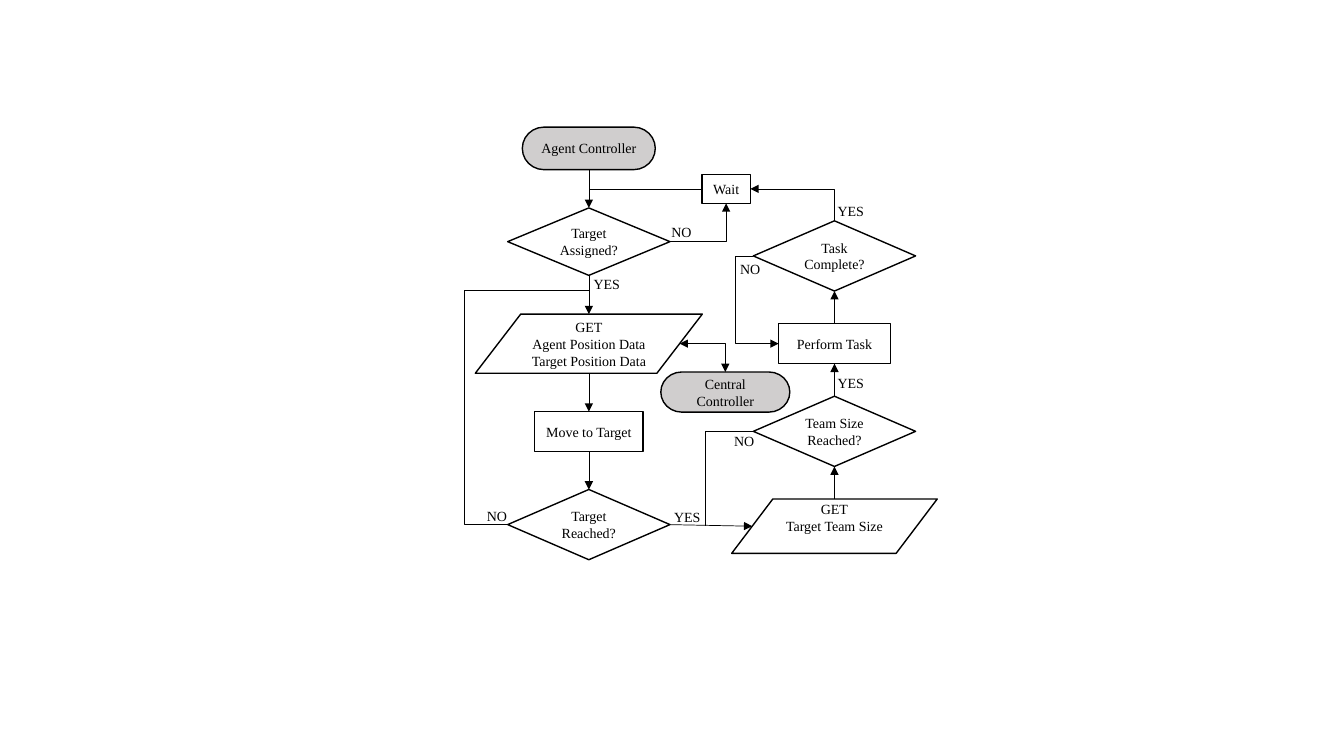
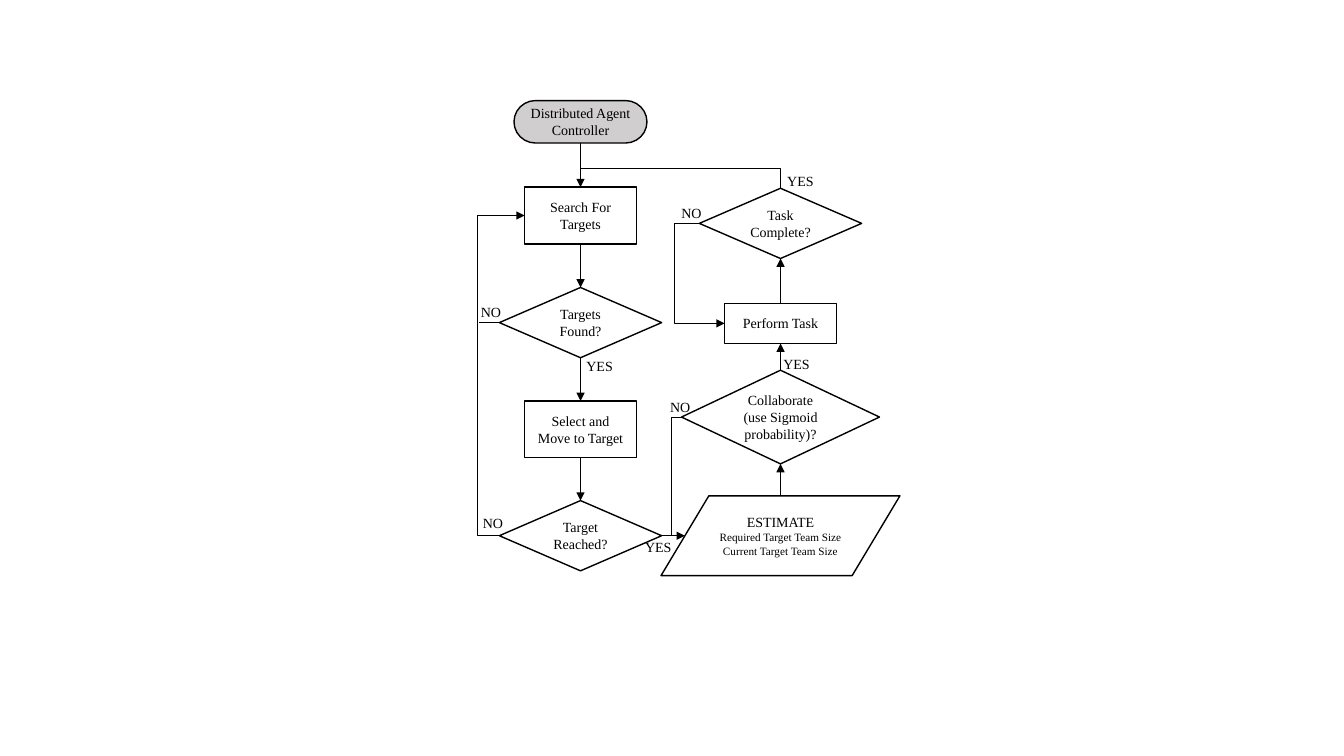
from dataclasses import dataclass
from itertools import pairwise

from lxml.etree import SubElement
from pptx import Presentation
from pptx.dml.color import RGBColor
from pptx.enum.shapes import MSO_CONNECTOR as Connector, MSO_SHAPE as Preset
from pptx.enum.text import MSO_ANCHOR as Anchor, MSO_AUTO_SIZE as AutoSize, PP_ALIGN as Align
from pptx.oxml.ns import qn
from pptx.util import Cm, Pt

COLORS = {"ink": "000000", "paper": "FFFFFF", "terminal": "D0CECE"}
FONT = "Times New Roman"
TEXT_SIZE, SMALL_SIZE = 10, 8
NODE_LINE, ROUTE_LINE = 1, 0.5
LABEL_WIDTHS = {"YES": 1.19, "NO": 1.04}
LABEL_HEIGHT = 0.69

# Usual node sizes in centimetres: width, height
DECISION_SIZE = (4.09, 1.77)
START_SIZE = (3.35, 1.07)
TASK_SIZE = (2.82, 1.01)
STEP_SIZE = (2.82, 1.43)


@dataclass
class Node:
    """Centre and size of a flowchart node, with its connection points."""
    x: float
    y: float
    width: float
    height: float
    slant: float = 0

    @property
    def top(self):
        return self.x, self.y - self.height / 2

    @property
    def bottom(self):
        return self.x, self.y + self.height / 2

    @property
    def left(self):
        return self.x - self.width / 2 + self.slant, self.y

    @property
    def right(self):
        return self.x + self.width / 2 - self.slant, self.y


def color(name):
    return RGBColor.from_string(COLORS[name])


def format_runs(paragraph, size=TEXT_SIZE):
    for run in paragraph.runs:
        run.font.name = FONT
        run.font.size = Pt(size)
        run.font.color.rgb = color("ink")


# Nodes
def add_node(slide, preset, text, x, y, size, fill="paper", small_from=None, lift=0):
    width, height = size
    shape = slide.shapes.add_shape(
        preset, Cm(x - width / 2), Cm(y - height / 2), Cm(width), Cm(height))
    shape.shadow.inherit = False
    shape.fill.solid()
    shape.fill.fore_color.rgb = color(fill)
    shape.line.color.rgb = color("ink")
    shape.line.width = Pt(NODE_LINE)
    text_frame = shape.text_frame
    text_frame.word_wrap = True
    text_frame.vertical_anchor = Anchor.MIDDLE
    if lift:
        text_frame.margin_top = 0
        text_frame.margin_bottom = Cm(lift)
    text_frame.text = text
    for index, paragraph in enumerate(text_frame.paragraphs):
        is_small = small_from is not None and index >= small_from
        paragraph.alignment = Align.CENTER
        format_runs(paragraph, SMALL_SIZE if is_small else TEXT_SIZE)
    slant = width / 10 if preset == Preset.FLOWCHART_DATA else 0
    return Node(x, y, width, height, slant)


def add_terminal(slide, text, x, y, size=START_SIZE):
    return add_node(slide, Preset.FLOWCHART_TERMINATOR, text, x, y, size, fill="terminal")


def add_decision(slide, text, x, y, size=DECISION_SIZE):
    return add_node(slide, Preset.FLOWCHART_DECISION, text, x, y, size)


def add_process(slide, text, x, y, size=TASK_SIZE):
    return add_node(slide, Preset.FLOWCHART_PROCESS, text, x, y, size)


def add_data(slide, text, x, y, size, **options):
    return add_node(slide, Preset.FLOWCHART_DATA, text, x, y, size, **options)


# Routes and their labels
def add_route(slide, start, end, kind=Connector.STRAIGHT, start_arrow=False, end_arrow=True):
    connector = slide.shapes.add_connector(kind, *(Cm(value) for value in (*start, *end)))
    connector.line.color.rgb = color("ink")
    connector.line.width = Pt(ROUTE_LINE)
    properties = connector._element.spPr
    line = properties.find(qn("a:ln"))
    if start_arrow:
        SubElement(line, qn("a:headEnd"), type="triangle")
    if end_arrow:
        SubElement(line, qn("a:tailEnd"), type="triangle")
    SubElement(properties, qn("a:effectLst"))
    return connector


def leave_leftward(connector):
    """Turn by 180 degrees and swap both flips: the same place, leaving to the left."""
    transform = connector._element.spPr.find(qn("a:xfrm"))
    transform.set("rot", str(180 * 60000))
    for flip in ("flipH", "flipV"):
        transform.set(flip, "0" if transform.get(flip) in ("1", "true") else "1")


def add_corner(slide, start, end, **arrows):
    """Run sideways from the start, then turn once to reach the end."""
    connector = add_route(slide, start, end, Connector.ELBOW, **arrows)
    connector._element.spPr.find(qn("a:prstGeom")).set("prst", "bentConnector2")
    if end[0] < start[0]:
        leave_leftward(connector)


def add_side_loop(slide, start, end, lane, **arrows):
    """Leave to the left, follow a vertical lane and come back in."""
    connector = add_route(slide, start, end, Connector.ELBOW, **arrows)
    geometry = connector._element.spPr.find(qn("a:prstGeom"))
    adjustments = geometry.find(qn("a:avLst"))
    if adjustments is None:
        adjustments = SubElement(geometry, qn("a:avLst"))
    share = round((lane - start[0]) / (end[0] - start[0]) * 100000)
    SubElement(adjustments, qn("a:gd"), name="adj1", fmla=f"val {share}")
    leave_leftward(connector)


def add_chain(slide, *nodes, upward=False):
    """Link each node to the next one in its column."""
    for node, following in pairwise(nodes):
        if upward:
            add_route(slide, node.top, following.bottom)
        else:
            add_route(slide, node.bottom, following.top)


def add_labels(slide, text, positions):
    for left, top in positions:
        box = slide.shapes.add_textbox(
            Cm(left), Cm(top), Cm(LABEL_WIDTHS[text]), Cm(LABEL_HEIGHT))
        text_frame = box.text_frame
        text_frame.word_wrap = False
        text_frame.auto_size = AutoSize.SHAPE_TO_FIT_TEXT
        text_frame.text = text
        format_runs(text_frame.paragraphs[0])


# Slides
def build_agent_controller(slide):
    left, right, middle = 14.84, 21.03, 18.3

    # Left column
    start = add_terminal(slide, "Agent Controller", left, 3.74)
    assigned = add_decision(slide, "Target Assigned?", left, 6.09, (4.09, 1.7))
    position = add_data(slide, "GET\nAgent Position Data\nTarget Position Data",
                        left, 8.66, (5.72, 1.49))
    move = add_process(slide, "Move to Target", left, 10.88, (2.73, 1.01))
    reached = add_decision(slide, "Target Reached?", left, 13.22)

    # Right column
    team = add_data(slide, "GET\nTarget Team Size", right, 13.26, (5.18, 1.37), lift=0.44)
    team_reached = add_decision(slide, "Team Size Reached?", right, 10.87)
    perform = add_process(slide, "Perform Task", right, 8.66)
    complete = add_decision(slide, "Task Complete?", right, 6.45)

    # Between the columns
    wait = add_process(slide, "Wait", middle, 4.76, (1.22, 0.73))
    central = add_terminal(slide, "Central Controller", middle - 0.02, 9.88, (3.25, 1.01))

    # Main flow
    add_chain(slide, start, assigned, position, move, reached)
    add_route(slide, reached.right, team.left)
    add_chain(slide, team, team_reached, perform, complete, upward=True)

    # Waiting, loops and data exchange
    add_corner(slide, wait.right, complete.top, start_arrow=True, end_arrow=False)
    add_route(slide, wait.left, (left, wait.y), end_arrow=False)
    add_corner(slide, assigned.right, wait.bottom)
    add_side_loop(slide, complete.left, perform.left, 18.54)
    add_corner(slide, team_reached.left, (17.78, team.y), end_arrow=False)
    add_corner(slide, position.right, central.top, start_arrow=True)
    add_side_loop(slide, reached.left, (left, 7.32), 11.71, end_arrow=False)

    add_labels(slide, "YES", [(16.74, 12.7), (14.71, 6.81), (20.86, 4.98), (20.86, 9.32)])
    add_labels(slide, "NO", [(16.67, 5.5), (18.4, 6.45), (18.25, 10.77), (12.02, 12.67)])


def build_distributed_controller(slide):
    left, right, search_lane = 14.63, 19.67, 12.04

    # Left column
    start = add_terminal(slide, "Distributed Agent Controller", left, 3.07)
    search = add_process(slide, "Search For Targets", left, 5.43, STEP_SIZE)
    found = add_decision(slide, "Targets Found?", left, 8.13)
    select = add_process(slide, "Select and Move to Target", left, 10.82, STEP_SIZE)
    reached = add_decision(slide, "Target Reached?", left, 13.5)

    # Right column
    estimate = add_data(
        slide, "ESTIMATE\nRequired Target Team Size\nCurrent Target Team Size",
        right, 13.5, (6.02, 2.01), small_from=1)
    collaborate = add_decision(slide, "Collaborate (use Sigmoid probability)?",
                               right, 10.51, (4.99, 2.36))
    perform = add_process(slide, "Perform Task", right, 8.15)
    complete = add_decision(slide, "Task Complete?", right, 5.63)

    # Main flow
    add_chain(slide, start, search, found, select, reached)
    add_route(slide, reached.right, estimate.left)
    add_chain(slide, estimate, collaborate, perform, complete, upward=True)

    # Loops
    add_corner(slide, (left, 4.24), complete.top, end_arrow=False)
    add_corner(slide, collaborate.left, (16.92, estimate.y), end_arrow=False)
    add_side_loop(slide, complete.left, perform.left, 16.99)
    add_side_loop(slide, reached.left, search.left, search_lane)
    add_route(slide, found.left, (search_lane + 0.03, found.y), end_arrow=False)

    add_labels(slide, "YES", [(14.53, 8.89), (16.01, 13.44), (19.49, 8.84), (19.59, 4.22)])
    add_labels(slide, "NO", [(16.92, 5.03), (11.87, 7.52), (11.92, 12.83), (16.64, 9.92)])


def main():
    presentation = Presentation()
    presentation.slide_width = Cm(33.87)
    presentation.slide_height = Cm(19.05)
    blank_layout = presentation.slide_layouts[6]
    for build in (build_agent_controller, build_distributed_controller):
        build(presentation.slides.add_slide(blank_layout))
    presentation.save("out.pptx")


main()
